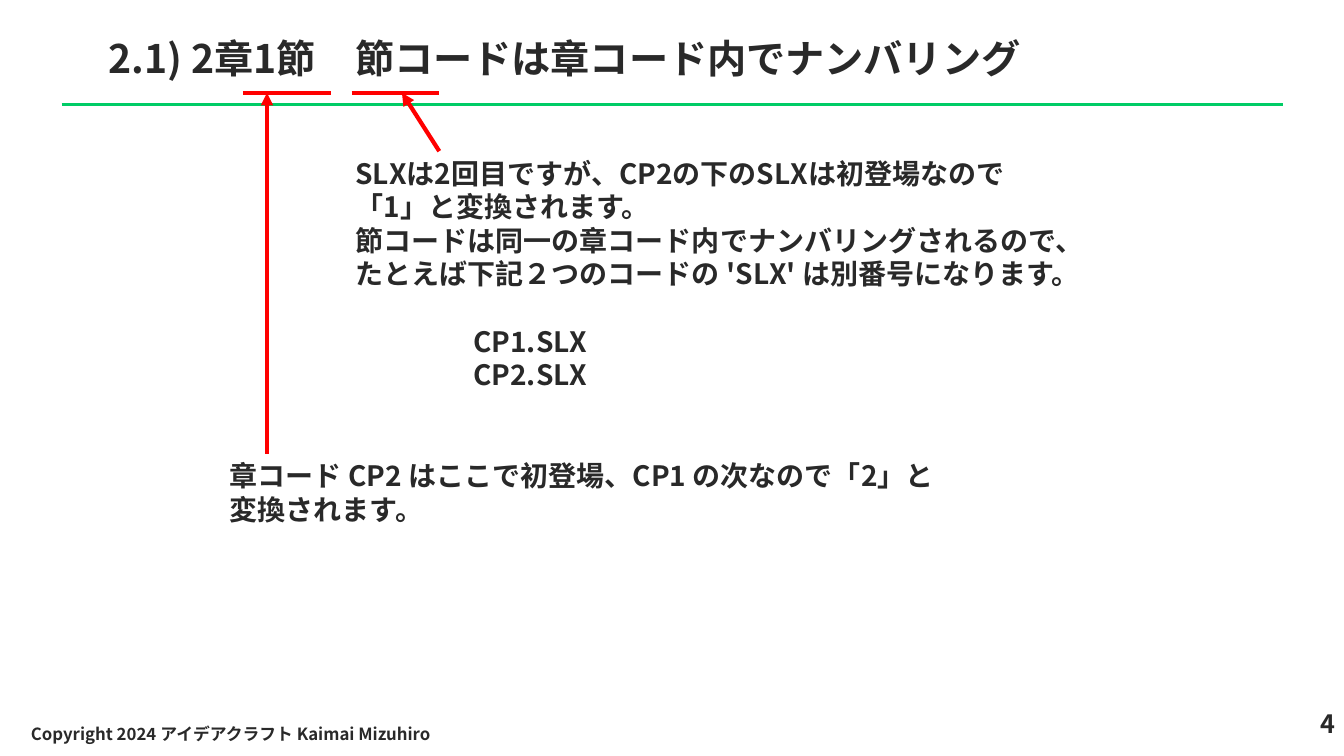
import pptx
import pptx.util
import pptx.dml.color
import pptx.oxml
import pptx.oxml.ns
from pptx.enum.shapes import MSO_CONNECTOR
from pptx.enum.text import MSO_ANCHOR, PP_ALIGN

Cm, Pt = pptx.util.Cm, pptx.util.Pt
FONT = "Noto Sans CJK JP"
INK, RED, GREEN = "292929", "FF0000", "00CC66"
LEADING = 1.2
INDENT = Cm(2.97)

TITLE = ("2.1) 2章1節　節コードは章コード内でナンバリング", (2.49, 0.74, 30.43, 1.8), 28)
CHAPTER = ["章コード CP2 はここで初登場、CP1 の次なので「2」と変換されます。"]
SECTION = [
    "SLXは2回目ですが、CP2の下のSLXは初登場なので「1」と変換されます。",
    "節コードは同一の章コード内でナンバリングされるので、たとえば下記２つのコードの 'SLX' は別番号になります。",
]
CODES = ["CP1.SLX", "CP2.SLX"]
FOOTER = ["Copyright 2024 アイデアクラフト Kaimai Mizuhiro"]
PAGE = ["4"]

TOP, MID = MSO_ANCHOR.TOP, MSO_ANCHOR.MIDDLE
LEFT, RIGHT = PP_ALIGN.LEFT, PP_ALIGN.RIGHT
BOXES = [
    (CHAPTER, [], (5.54, 11.43, 18.39, 1.96), 20, LEFT, TOP),
    (SECTION, CODES, (8.71, 3.81, 18.39, 6.25), 20, LEFT, TOP),
    (PAGE, [], (29.74, 17.73, 4.17, 1.27), 18, RIGHT, TOP),
    (FOOTER, [], (0.53, 17.98, 15.39, 1.02), 12, LEFT, MID),
]

MARK_Y, MARK_W = 2.34, 2.21
LINES = [
    ((1.55, 2.64), (32.33, 2.64), GREEN, 2.25, False),
    ((6.73, 11.43), (6.73, MARK_Y), RED, 3, True),
    ((11.07, 3.81), (10.13, MARK_Y), RED, 3, True),
]
LINES += [((x, MARK_Y), (x + MARK_W, MARK_Y), RED, 3, False) for x in (6.12, 8.86)]


def rgb(color):
    return pptx.dml.color.RGBColor.from_string(color)


def set_attrs(obj, values):
    for name, value in values.items():
        setattr(obj, name, value)


def write(p, text, size, align=LEFT):
    set_attrs(p, {"alignment": align, "line_spacing": Pt(size * LEADING)})
    r = p.add_run()
    r.text = text
    set_attrs(r.font, {"name": FONT, "size": Pt(size), "bold": True})
    r.font.color.rgb = rgb(INK)
    ea = pptx.oxml.ns.qn("a:ea")
    r.font._element.find(pptx.oxml.ns.qn("a:latin")).addnext(
        r.font._element.makeelement(ea, {"typeface": FONT}))


def add_line(s, start, end, color, width, arrow):
    c = s.shapes.add_connector(MSO_CONNECTOR.STRAIGHT, *map(Cm, start + end))
    c.line.color.rgb = rgb(color)
    c.line.width = Pt(width)
    if arrow:
        ln = c.line._get_or_add_ln()
        ln.append(ln.makeelement(pptx.oxml.ns.qn("a:tailEnd"), {"type": "triangle"}))
    props = c._element.spPr
    props.append(props.makeelement(pptx.oxml.ns.qn("a:effectLst"), {}))


def add_text(s, lines, codes, box, size, align, anchor):
    tf = s.shapes.add_textbox(*map(Cm, box)).text_frame
    set_attrs(tf, {"word_wrap": True, "vertical_anchor": anchor})
    for i, text in enumerate(lines + codes):
        p = tf.add_paragraph() if i else tf.paragraphs[0]
        write(p, text, size, align)
        if i >= len(lines):
            p._p.get_or_add_pPr().set("marL", str(INDENT))
        if i and i == len(lines):
            p.space_before = Pt(size * LEADING)


def main():
    prs = pptx.Presentation()
    set_attrs(prs, {"slide_width": Cm(33.87), "slide_height": Cm(19.05)})
    s = prs.slides.add_slide(prs.slide_layouts[5])
    text, box, size = TITLE
    title = s.shapes.title
    set_attrs(title, dict(zip(("left", "top", "width", "height"), map(Cm, box))))
    set_attrs(title.text_frame, {"word_wrap": True, "vertical_anchor": TOP})
    write(title.text_frame.paragraphs[0], text, size)
    for line in LINES:
        add_line(s, *line)
    for item in BOXES:
        add_text(s, *item)
    prs.save("out.pptx")


if __name__ == "__main__":
    main()
